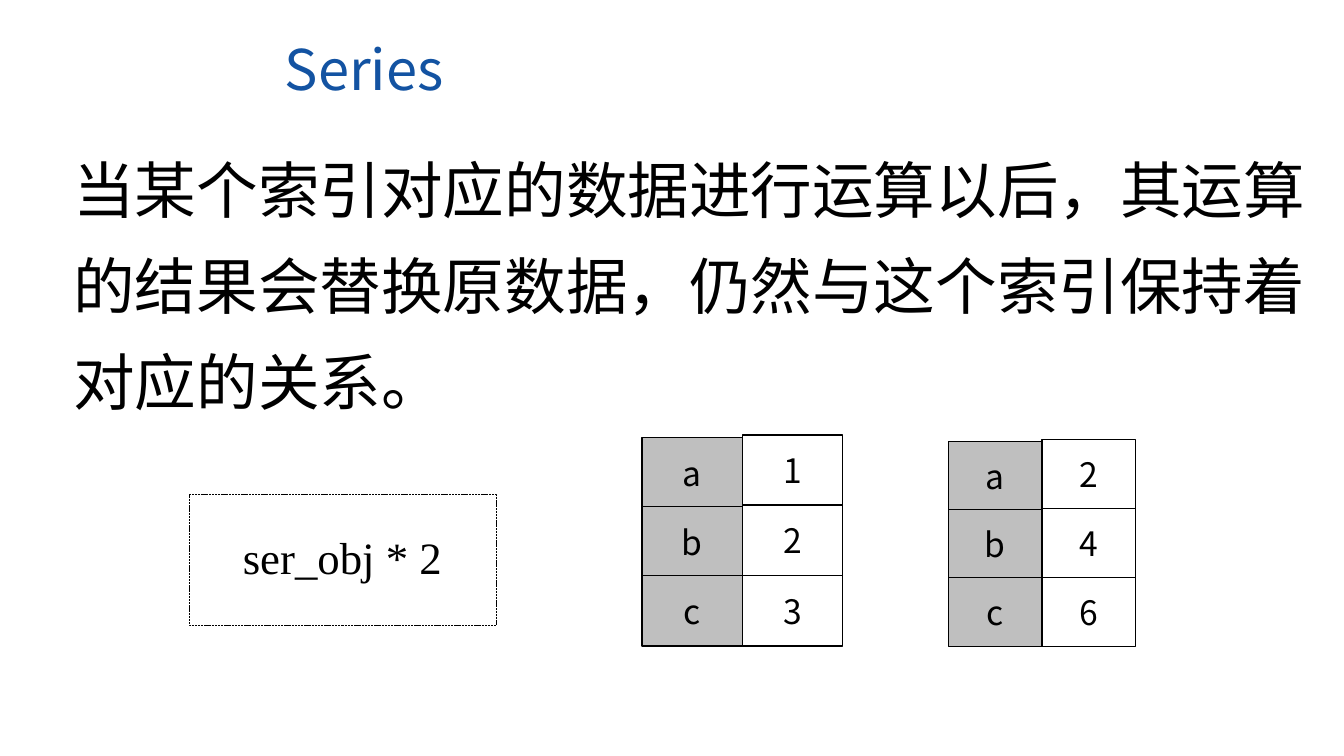
import pptx
import pptx.util
import pptx.dml.color
import pptx.enum.dml
import pptx.enum.shapes
import pptx.enum.text
import pptx.oxml
import pptx.oxml.ns
from pptx.util import Cm

# Content
TITLE = "Series"
STATEMENT = "当某个索引对应的数据进行运算以后，其运算的结果会替换原数据，仍然与这个索引保持着对应的关系。"
FORMULA = "ser_obj * 2"
LABELS = ["a", "b", "c"]
# Each series: values, left edge, top of the last row, cell width and height in cm
SERIES = [
    (["1", "2", "3"], 16.18, 14.5, 2.53, 1.78),
    (["2", "4", "6"], 23.9, 14.55, 2.36, 1.75),
]
INDEX_OVERLAP, VALUE_OVERLAP = 0.04, 0.01

THEME = {
    "sans": "Noto Sans CJK SC", "serif": "Times New Roman",
    "title": "1353A2", "ink": "000000", "index": "BFBFBF",
    "title_size": 40, "body_size": 44, "formula_size": 32, "cell_size": 24,
    "cell_line": 1, "formula_line": 0.5,
}


def color(name):
    return pptx.dml.color.RGBColor.from_string(THEME[name])


def write(shape, text, size, ink="ink", font="sans"):
    para = shape.text_frame.paragraphs[0]
    para.text = text
    span = para.runs[0]
    span.font.name = THEME[font]
    span.font.size = pptx.util.Pt(THEME[size])
    span.font.color.rgb = color(ink)
    east_asian = pptx.oxml.parse_xml(
        f'<a:ea {pptx.oxml.ns.nsdecls("a")} typeface="{THEME[font]}"/>')
    span.font._element.append(east_asian)
    return para


def add_text(parent, area, *style):
    box = parent.shapes.add_textbox(*map(Cm, area))
    box.text_frame.word_wrap = True
    return write(box, *style)


def add_frame(parent, area, line_width, fill=None):
    frame = parent.shapes.add_shape(
        pptx.enum.shapes.MSO_SHAPE.RECTANGLE, *map(Cm, area))
    frame.shadow.inherit = False
    if fill:
        frame.fill.solid()
        frame.fill.fore_color.rgb = color(fill)
    else:
        frame.fill.background()
    frame.line.color.rgb = color("ink")
    frame.line.width = pptx.util.Pt(THEME[line_width])
    return frame


def add_column(parent, texts, left, last_top, width, height, overlap, fill=None):
    pitch = height - overlap
    top = last_top - pitch * (len(texts) - 1)
    for row, text in enumerate(texts):
        cell = add_frame(parent, (left, top + row * pitch, width, height), "cell_line", fill)
        cell.text_frame.vertical_anchor = pptx.enum.text.MSO_ANCHOR.MIDDLE
        para = write(cell, text, "cell_size")
        para.alignment = pptx.enum.text.PP_ALIGN.CENTER


def main():
    deck = pptx.Presentation()
    deck.slide_width, deck.slide_height = Cm(33.87), Cm(19.05)
    page = deck.slides.add_slide(deck.slide_layouts[6])

    # Title and statement
    add_text(page, (6.93, 0.74, 15.44, 1.96), TITLE, "title_size", "title")
    statement = add_text(page, (1.6, 3.15, 31.7, 7.37), STATEMENT, "body_size")
    statement.line_spacing = 1.3

    # Formula in a dashed frame
    formula = page.shapes.add_group_shape()
    add_text(formula, (5.87, 13.23, 5.74, 1.63), FORMULA, "formula_size", "ink", "serif")
    frame = add_frame(formula, (4.78, 12.47, 7.72, 3.28), "formula_line")
    frame.line.dash_style = pptx.enum.dml.MSO_LINE.SQUARE_DOT

    # Series before and after the operation: index column, then values
    for values, left, last_top, width, height in SERIES:
        group = page.shapes.add_group_shape()
        add_column(group, LABELS, left, last_top, width, height, INDEX_OVERLAP, "index")
        add_column(group, values, left + width, last_top, width, height, VALUE_OVERLAP)

    deck.save("out.pptx")


if __name__ == "__main__":
    main()
